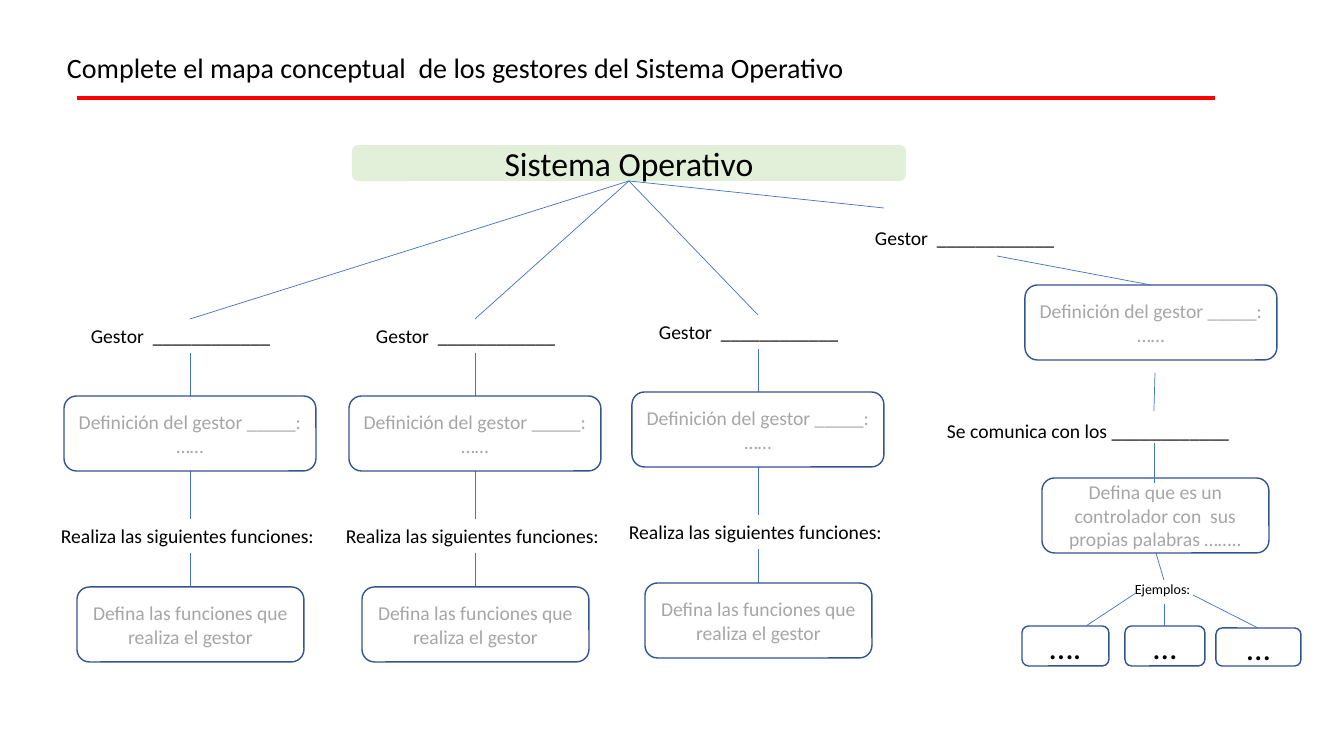
from typing import NamedTuple

from lxml import etree
from pptx import Presentation, util as u
from pptx.dml.color import RGBColor
from pptx.enum import shapes, text
from pptx.oxml import ns

PIXEL = 914400 / 100.8
FONT = "Calibri"
COLORS = {
    "ink": "000000",
    "hint": "A6A6A6",
    "outline": "325491",
    "link": "4472C4",
    "rule": "FF0000",
    "root": "E2F0D9",
}
DEFINITION = "Definición del gestor _____:\n……"
MANAGER = "Gestor  ____________"


class Label(NamedTuple):
    """A left-aligned text without a frame."""
    content: str
    left: int
    top: int
    width: int
    height: int = 34
    size: int = 14


class Box(NamedTuple):
    """A rounded box with centred text."""
    content: str
    left: int
    top: int
    width: int
    height: int = 75
    size: int = 14
    color: str = "hint"
    fill: str | None = None


class Link(NamedTuple):
    """A straight line between two points."""
    x1: int
    y1: int
    x2: int
    y2: int
    color: str = "link"
    weight: float = 0.5


class Column(NamedTuple):
    """A manager branch, placed by its axis and top."""
    axis: int
    top: int


HUB = (629, 181)
COLUMNS = [Column(190, 319), Column(475, 319), Column(758, 315)]

LABELS = [
    Label("Complete el mapa conceptual  de los gestores del Sistema Operativo",
          57, 46, 917, 44, 20),
    Label(MANAGER, 865, 221, 219),
    Label("Se comunica con los ____________", 937, 414, 348),
    Label("Ejemplos:", 1125, 576, 114, 27, 10),
]
BOXES = [
    Box("Sistema Operativo", 352, 145, 554, 36, 24, "ink", "root"),
    Box(DEFINITION, 1025, 285, 252),
    Box("Defina que es un controlador con  sus propias palabras ……..", 1042, 478, 227),
    Box("….", 1022, 626, 87, 40, 24, "ink"),
    Box("…", 1125, 626, 80, 40, 24, "ink"),
    Box("…", 1216, 628, 85, 38, 24, "ink"),
]
LINKS = [
    Link(77, 98, 1215, 98, "rule", 3),
    Link(*HUB, 884, 208),
    Link(997, 256, 1151, 285),
    Link(1155, 373, 1154, 411),
    Link(1154, 443, 1154, 483),
    Link(1156, 553, 1164, 580),
    Link(1136, 593, 1086, 626),
    Link(1164, 604, 1164, 626),
    Link(1193, 595, 1258, 628),
]


def px(*values: int) -> list[int]:
    """Turn pixels into EMU."""
    return [u.Emu(round(value * PIXEL)) for value in values]


def rgb(name: str) -> RGBColor:
    """Look up a colour by name."""
    return RGBColor.from_string(COLORS[name])


def write(shape, content: str, size: int, color: str, align) -> None:
    """Fill a shape with text of one style."""
    frame = shape.text_frame
    frame.word_wrap = True
    frame.text = content
    for paragraph in frame.paragraphs:
        paragraph.alignment = align
        paragraph.font.name = FONT
        paragraph.font.size = u.Pt(size)
        paragraph.font.color.rgb = rgb(color)


def draw_label(slide, label: Label) -> None:
    """Draw a frameless text."""
    shape = slide.shapes.add_textbox(
        *px(label.left, label.top, label.width, label.height))
    write(shape, label.content, label.size, "ink", text.PP_ALIGN.LEFT)
    shape.text_frame.auto_size = text.MSO_AUTO_SIZE.SHAPE_TO_FIT_TEXT


def draw_box(slide, box: Box) -> None:
    """Draw a rounded box, either filled or outlined."""
    shape = slide.shapes.add_shape(
        shapes.MSO_SHAPE.ROUNDED_RECTANGLE,
        *px(box.left, box.top, box.width, box.height))
    shape.shadow.inherit = False
    if box.fill:
        shape.fill.solid()
        shape.fill.fore_color.rgb = rgb(box.fill)
        shape.line.fill.background()
    else:
        shape.fill.background()
        shape.line.color.rgb = rgb("outline")
        shape.line.width = u.Pt(1)
    write(shape, box.content, box.size, box.color, text.PP_ALIGN.CENTER)
    shape.text_frame.vertical_anchor = text.MSO_ANCHOR.MIDDLE


def draw_link(slide, link: Link) -> None:
    """Draw a straight line without a shadow."""
    connector = slide.shapes.add_connector(
        shapes.MSO_CONNECTOR.STRAIGHT, *px(link.x1, link.y1, link.x2, link.y2))
    connector.line.color.rgb = rgb(link.color)
    connector.line.width = u.Pt(link.weight)
    etree.SubElement(connector.element.spPr, ns.qn("a:effectLst"))


def draw_column(slide, column: Column) -> None:
    """Draw a manager with its definition and functions, joined to the hub."""
    axis, top = column
    draw_link(slide, Link(*HUB, axis, top))
    for start, end in [(34, 77), (152, 200), (234, 268)]:
        draw_link(slide, Link(axis, top + start, axis, top + end))
    for content, offset, width in [
            (MANAGER, 0, 219), ("Realiza las siguientes funciones:", 200, 279)]:
        draw_label(slide, Label(content, axis - width // 2, top + offset, width))
    for content, offset, width in [
            (DEFINITION, 77, 252),
            ("Defina las funciones que realiza el gestor", 268, 227)]:
        draw_box(slide, Box(content, axis - width // 2, top + offset, width))


def main() -> None:
    """Build and save the concept map."""
    presentation = Presentation()
    presentation.slide_width, presentation.slide_height = px(1344, 756)
    slide = presentation.slides.add_slide(presentation.slide_layouts[6])
    for box in BOXES:
        draw_box(slide, box)
    for label in LABELS:
        draw_label(slide, label)
    for link in LINKS:
        draw_link(slide, link)
    for column in COLUMNS:
        draw_column(slide, column)
    presentation.save("out.pptx")


main()
